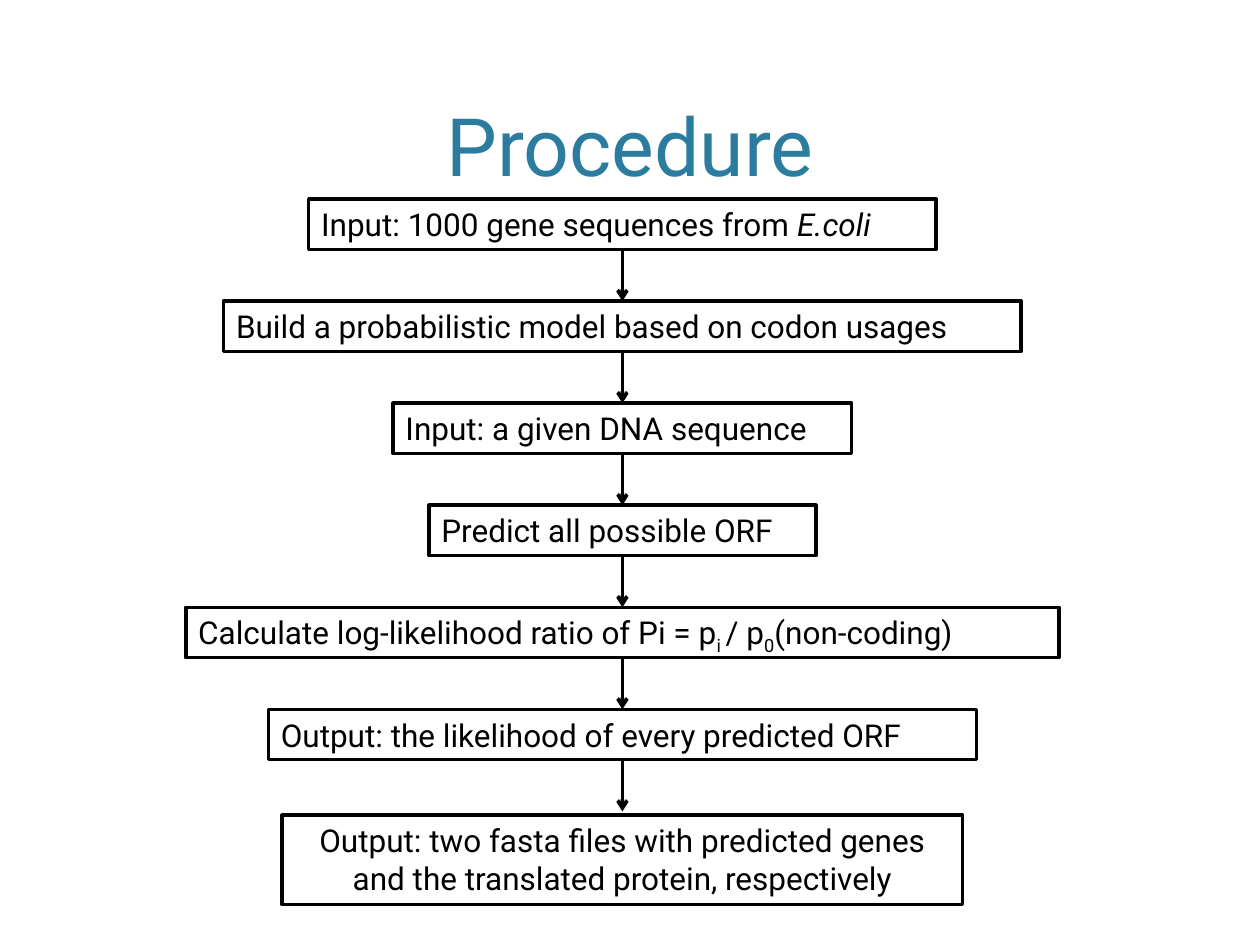
"""Build the gene prediction procedure slide."""
import pptx
import pptx.chart.data
import pptx.dml.color
import pptx.enum.shapes
import pptx.enum.text
import pptx.oxml.ns
import pptx.util
import lxml.etree

Inches, Pt = pptx.util.Inches, pptx.util.Pt
ALIGN = pptx.enum.text.PP_ALIGN
ANCHOR = pptx.enum.text.MSO_ANCHOR
qn = pptx.oxml.ns.qn

STEPS = [
    (4.98, [[("Input: 1000 gene sequences from ", ""), ("E.coli", "italic")]]),
    (6.33, [[("Build a probabilistic model based on codon usages", "")]]),
    (3.64, [[("Input: a given DNA sequence", "")]]),
    (3.07, [[("Predict all possible ORF", "")]]),
    (6.93, [[("Calculate log-likelihood ratio of Pi = p", ""), ("i ", "sub"),
             ("/ p", ""), ("0", "sub"), ("(non-coding)", "")]]),
    (5.62, [[("Output: the likelihood of every predicted ORF", "")]]),
    (5.4, [[("Output: two fasta files with predicted genes", "")],
           [("and the translated protein, respectively", "")]]),
]
MID, TOP, STEP, HIGH = 4.94, 1.58, 0.81, 0.4
LAST_TOP, LAST_HIGH = 6.47, 0.71


def color(code):
    return pptx.dml.color.RGBColor.from_string(code)


def write(frame, lines, size, code, align):
    frame.word_wrap = True
    for num, line in enumerate(lines):
        para = frame.paragraphs[0] if num == 0 else frame.add_paragraph()
        para.alignment = align
        for text, style in line:
            run = para.add_run()
            run.text = text
            run.font.name = "Roboto"
            run.font.size = Pt(size)
            run.font.color.rgb = color(code)
            if style == "italic":
                run.font.italic = True
            if style == "sub":
                run._r.get_or_add_rPr().set("baseline", "-25000")


def add_box(slide, top, wide, high, lines):
    box = slide.shapes.add_shape(
        pptx.enum.shapes.MSO_SHAPE.RECTANGLE,
        Inches(MID - wide / 2), Inches(top), Inches(wide), Inches(high))
    box.shadow.inherit = False
    box.fill.solid()
    box.fill.fore_color.rgb = color("FFFFFF")
    box.line.color.rgb = color("000000")
    box.line.width = Pt(2)
    box.text_frame.vertical_anchor = ANCHOR.TOP
    align = ALIGN.CENTER if len(lines) > 1 else ALIGN.LEFT
    write(box.text_frame, lines, 18, "000000", align)


def add_arrow(slide, start, end):
    arrow = slide.shapes.add_connector(
        pptx.enum.shapes.MSO_CONNECTOR.STRAIGHT,
        Inches(MID), Inches(start), Inches(MID), Inches(end))
    arrow.line.color.rgb = color("000000")
    arrow.line.width = Pt(2)
    lxml.etree.SubElement(arrow.line._get_or_add_ln(), qn("a:tailEnd"), type="arrow")
    lxml.etree.SubElement(arrow._element.spPr, qn("a:effectLst"))


deck = pptx.Presentation()
deck.slide_width, deck.slide_height = Inches(10), Inches(7.5)
slide = deck.slides.add_slide(deck.slide_layouts[6])

title = slide.shapes.add_textbox(Inches(0.6), Inches(0.12), Inches(8.8), Inches(1.46))
title.text_frame.vertical_anchor = ANCHOR.BOTTOM
write(title.text_frame, [[("Procedure", "")]], 46, "2C7C9F", ALIGN.CENTER)

for num, (wide, lines) in enumerate(STEPS):
    top = TOP + num * STEP
    if num < len(STEPS) - 1:
        add_box(slide, top, wide, HIGH, lines)
        add_arrow(slide, top + HIGH, top + STEP)
    else:
        add_box(slide, LAST_TOP, wide, LAST_HIGH, lines)

deck.save("out.pptx")
